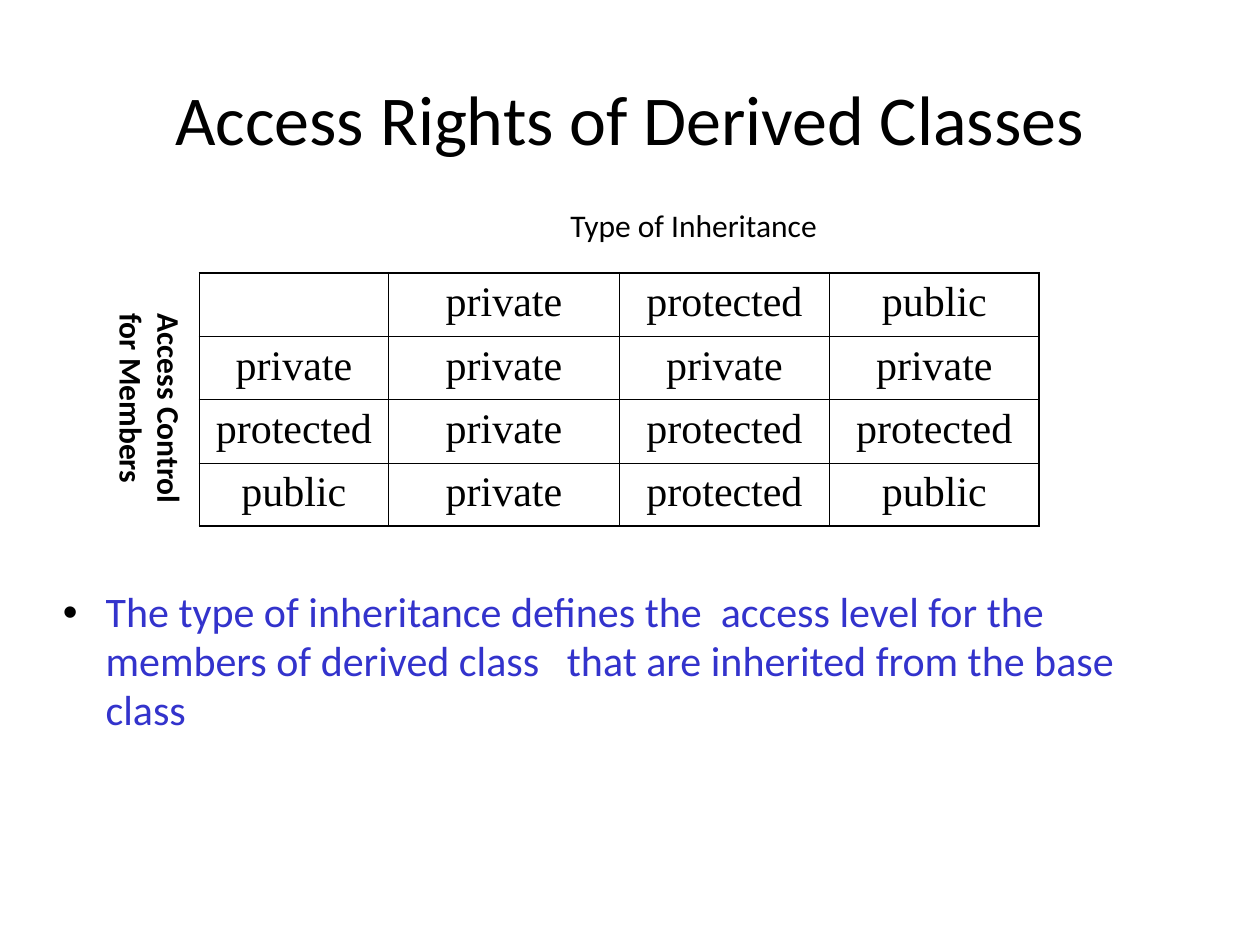
from typing import NamedTuple

from lxml.etree import SubElement
from pptx import Presentation
from pptx.dml.color import RGBColor
from pptx.enum.text import MSO_ANCHOR, MSO_AUTO_SIZE, PP_ALIGN
from pptx.oxml.ns import qn
from pptx.util import Cm, Pt

BLACK = RGBColor(0x00, 0x00, 0x00)
BLUE = RGBColor(0x33, 0x33, 0xCC)

THIN, THICK = Pt(0.45), Pt(1.08)

ACCESS_RIGHTS = [
    ["", "private", "protected", "public"],
    ["private", "private", "private", "private"],
    ["protected", "private", "protected", "protected"],
    ["public", "private", "protected", "public"],
]
COLUMN_WIDTHS = [Cm(3.81), Cm(4.66), Cm(4.23), Cm(4.23)]
ROW_HEIGHT = Cm(1.27)


class Box(NamedTuple):
    left: float
    top: float
    width: float
    height: float

    def lengths(self) -> list[Cm]:
        return [Cm(value) for value in self]


class AxisLabel(NamedTuple):
    lines: list[str]
    box: Box
    bold: bool = False
    vertical: bool = False


AXIS_LABELS = [
    AxisLabel(["Type of Inheritance"], Box(11.25, 4.02, 6.27, 1.02)),
    AxisLabel(["Access Control", "for Members"], Box(1.9, 6.07, 2.04, 4.9),
              bold=True, vertical=True),
]


def write(paragraph, text: str, *, size: float, font: str = "Calibri",
          color: RGBColor = BLACK, bold: bool = False, align=None,
          line_spacing=None, before=None, after=None) -> None:
    """Add one formatted run and set the spacing of its paragraph."""
    run = paragraph.add_run()
    run.text = text
    run.font.size = Pt(size)
    run.font.name = font
    run.font.color.rgb = color
    run.font.bold = bold
    paragraph.alignment = align
    paragraph.line_spacing = line_spacing
    paragraph.space_before = before
    paragraph.space_after = after


def set_margins(frame, horizontal: float, vertical: float) -> None:
    frame.margin_left = frame.margin_right = Cm(horizontal)
    frame.margin_top = frame.margin_bottom = Cm(vertical)


def add_bullet(paragraph, indent: Cm, tab_stop: Cm) -> None:
    properties = paragraph._p.get_or_add_pPr()
    properties.set("marL", str(indent))
    properties.set("indent", str(-indent))
    bullet_color = SubElement(properties, qn("a:buClr"))
    SubElement(bullet_color, qn("a:srgbClr"), val=str(BLACK))
    SubElement(properties, qn("a:buFont"), typeface="Arial")
    SubElement(properties, qn("a:buChar"), char="•")
    tabs = SubElement(properties, qn("a:tabLst"))
    SubElement(tabs, qn("a:tab"), pos=str(tab_stop), algn="l")


def set_borders(cell, widths: dict[str, int]) -> None:
    properties = cell._tc.get_or_add_tcPr()
    for position, (side, width) in enumerate(widths.items()):
        line = properties.makeelement(qn(f"a:{side}"), {"w": str(width)})
        fill = SubElement(line, qn("a:solidFill"))
        SubElement(fill, qn("a:srgbClr"), val=str(BLACK))
        properties.insert(position, line)


def add_access_table(slide, left: Cm, top: Cm) -> None:
    last_row, last_column = len(ACCESS_RIGHTS) - 1, len(COLUMN_WIDTHS) - 1
    table = slide.shapes.add_table(
        last_row + 1, last_column + 1, left, top,
        sum(COLUMN_WIDTHS), ROW_HEIGHT * (last_row + 1)).table
    table.first_row = table.horz_banding = False
    for column, width in zip(table.columns, COLUMN_WIDTHS):
        column.width = width
    for r, rights in enumerate(ACCESS_RIGHTS):
        table.rows[r].height = ROW_HEIGHT
        for c, right in enumerate(rights):
            cell = table.cell(r, c)
            set_margins(cell, 0.25, 0.13)
            cell.fill.background()
            if right:
                write(cell.text_frame.paragraphs[0], right, size=24,
                      font="Times New Roman", align=PP_ALIGN.CENTER,
                      before=Pt(6))
            set_borders(cell, {
                "lnL": THICK if c == 0 else THIN,
                "lnR": THICK if c == last_column else THIN,
                "lnT": THICK if r == 0 else THIN,
                "lnB": THICK if r == last_row else THIN,
            })


def add_axis_label(slide, label: AxisLabel) -> None:
    frame = slide.shapes.add_textbox(*label.box.lengths()).text_frame
    frame.word_wrap = False
    frame.auto_size = MSO_AUTO_SIZE.SHAPE_TO_FIT_TEXT
    if label.vertical:
        set_margins(frame, 0.13, 0.25)
        frame._txBody.bodyPr.set("vert", "eaVert")
    else:
        set_margins(frame, 0.25, 0.13)
    for index, line in enumerate(label.lines):
        paragraph = frame.add_paragraph() if index else frame.paragraphs[0]
        write(paragraph, line, size=18, bold=label.bold)


def main() -> None:
    presentation = Presentation()
    presentation.slide_width, presentation.slide_height = Cm(25.4), Cm(19.05)
    slide = presentation.slides.add_slide(presentation.slide_layouts[5])

    # Title
    title = slide.shapes.title
    title.left, title.top, title.width, title.height = Box(
        1.9, 1.07, 21.59, 2.74).lengths()
    title.text_frame.vertical_anchor = MSO_ANCHOR.MIDDLE
    set_margins(title.text_frame, 0.23, 0.13)
    write(title.text_frame.paragraphs[0], "Access Rights of Derived Classes",
          size=40, align=PP_ALIGN.CENTER, line_spacing=0.97)

    # Explanation below the table
    explanation = slide.shapes.add_textbox(
        *Box(1.27, 11.43, 22.23, 6.99).lengths()).text_frame
    explanation.word_wrap = True
    set_margins(explanation, 0, 0)
    explanation.margin_top = Cm(0.43)
    add_bullet(explanation.paragraphs[0], indent=Cm(0.86), tab_stop=Cm(9.22))
    write(explanation.paragraphs[0],
          "The type of inheritance defines the  access level for the members "
          "of derived class\tthat are inherited from the base class",
          size=24, color=BLUE, line_spacing=0.97, after=Pt(12.9))

    # Table of access rights and its axis labels
    add_access_table(slide, Cm(4.02), Cm(5.5))
    for label in AXIS_LABELS:
        add_axis_label(slide, label)

    presentation.save("out.pptx")


if __name__ == "__main__":
    main()
